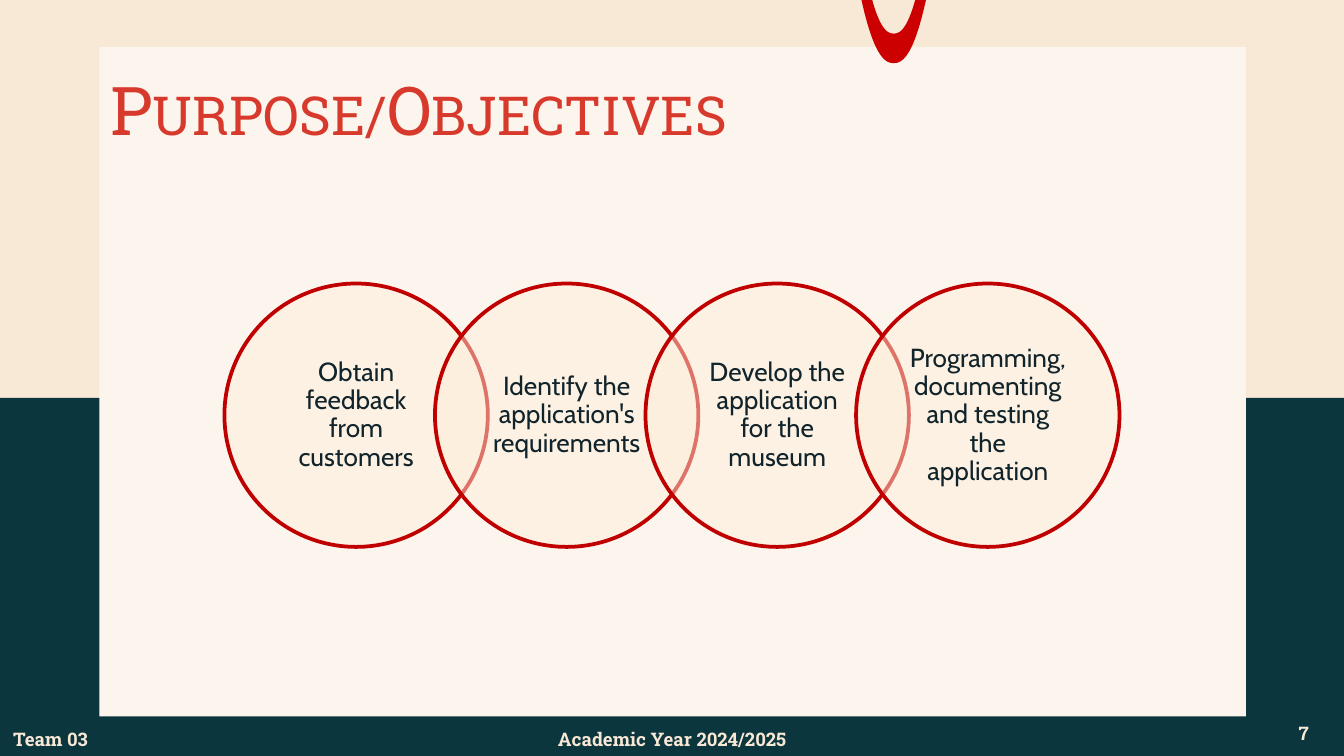
import pptx
import pptx.util
import pptx.dml.color
import pptx.enum.shapes
import pptx.enum.text
import pptx.oxml
import pptx.oxml.ns

Inches = pptx.util.Inches
Pt = pptx.util.Pt
ALIGN = pptx.enum.text.PP_ALIGN
SHAPE = pptx.enum.shapes.MSO_SHAPE

COLORS = {
    "sand": "F8E8D6",
    "teal": "0C363D",
    "paper": "FCF5ED",
    "clip": "CC0000",
    "title": "D73A2C",
    "circle": "FEEDD8",
    "ring": "C00000",
    "ink": "11232B",
}
WIDTH = 10
HEIGHT = WIDTH * 9 / 16
GOALS = [
    "Obtain feedback from customers",
    "Identify the application's requirements",
    "Develop the application for the museum",
    "Programming, documenting and testing the application",
]


def color(name):
    return pptx.dml.color.RGBColor.from_string(COLORS[name])


def paint(shape, fill):
    shape.shadow.inherit = False
    shape.fill.solid()
    shape.fill.fore_color.rgb = color(fill)
    shape.line.fill.background()


def add_block(page, kind, box, fill):
    shape = page.shapes.add_shape(kind, *map(Inches, box))
    paint(shape, fill)
    return shape


def write(shape, text, font, size, ink, align, margins=(0.1, 0.1), bold=False):
    frame = shape.text_frame
    frame.auto_size = pptx.enum.text.MSO_AUTO_SIZE.NONE
    frame.word_wrap = True
    frame.vertical_anchor = pptx.enum.text.MSO_ANCHOR.MIDDLE
    frame.margin_left = frame.margin_right = Inches(margins[0])
    frame.margin_top = frame.margin_bottom = Inches(margins[1])
    frame.text = text
    para = frame.paragraphs[0]
    para.alignment = align
    span = para.runs[0]
    span.font.name = font
    span.font.size = Pt(size)
    span.font.bold = bold
    span.font.color.rgb = color(ink)
    return para


def add_label(page, box, *style, **options):
    label = page.shapes.add_textbox(*map(Inches, box))
    return write(label, *style, **options)


def add_backdrop(page, box):
    left, top, width, height = box
    horizon = 2.96
    add_block(page, SHAPE.RECTANGLE, box, "sand")
    add_block(page, SHAPE.RECTANGLE,
              (left, top + horizon, width, height - horizon), "teal")
    add_block(page, SHAPE.RECTANGLE, (left + 0.74, top + 0.35, 8.53, 4.98), "paper")


def add_clip(page, box):
    left, top, width, height = box
    center = left + width / 2
    steps = [step / 20 for step in range(-20, 21)]

    def arc(half_width, depth):
        return [(Inches(center + half_width * t),
                 Inches(top + depth * (1 - abs(t) ** 2.3))) for t in steps]

    points = arc(width / 2, height) + arc(0.16, 0.25)[::-1]
    builder = page.shapes.build_freeform(*points[0])
    builder.add_line_segments(points[1:], close=True)
    paint(builder.convert_to_shape(), "clip")


def add_title(page, box):
    title = page.shapes.title
    title.left, title.top, title.width, title.height = map(Inches, box)
    para = write(title, "Purpose/Objectives", "Roboto Slab", 36, "title", ALIGN.JUSTIFY)
    para.space_after = Pt(36)
    para.runs[0].font._element.set("cap", "small")
    page.shapes._spTree.append(title._element)


def add_footer(page, box):
    left, top, width, height = box
    entries = [
        ("7", (left + width - 0.6, top - 0.08, 0.6, 0.43), ALIGN.CENTER),
        ("Academic Year 2024/2025",
         (left + (width - 2.16) / 2, top, 2.16, height), ALIGN.CENTER),
        ("Team 03", (left, top, 0.93, height), ALIGN.LEFT),
    ]
    for text, place, align in entries:
        add_label(page, place, text, "Roboto Slab", 10, "sand", align, bold=True)


def add_goals(page, box):
    left, top, width, size = box
    pitch = (width - size) / (len(GOALS) - 1)
    label_size = 1.39
    inset = (size - label_size) / 2
    for index, goal in enumerate(GOALS):
        x = left + index * pitch
        circle = add_block(page, SHAPE.OVAL, (x, top, size, size), "circle")
        circle.line.color.rgb = color("ring")
        circle.line.width = Pt(2)
        fill = circle._element.spPr.find(pptx.oxml.ns.qn("a:solidFill"))
        fill[0].append(pptx.oxml.parse_xml(
            f'<a:alpha {pptx.oxml.ns.nsdecls("a")} val="49000"/>'))
        para = add_label(page, (x + inset, top + inset, label_size, label_size),
                         goal, "Cabin", 14, "ink", ALIGN.CENTER, margins=(0.11, 0.02))
        para.line_spacing = 0.9


def main():
    deck = pptx.Presentation()
    deck.slide_width = Inches(WIDTH)
    deck.slide_height = Inches(HEIGHT)
    page = deck.slides.add_slide(deck.slide_layouts[5])
    add_backdrop(page, (0, 0, WIDTH, HEIGHT))
    add_clip(page, (6.41, 0, 0.48, 0.47))
    add_title(page, (0.72, 0.49, 8.94, 0.63))
    add_footer(page, (0, 5.32, WIDTH, 0.35))
    add_goals(page, (1.67, 2.11, 6.66, 1.96))
    deck.save("out.pptx")


if __name__ == "__main__":
    main()
